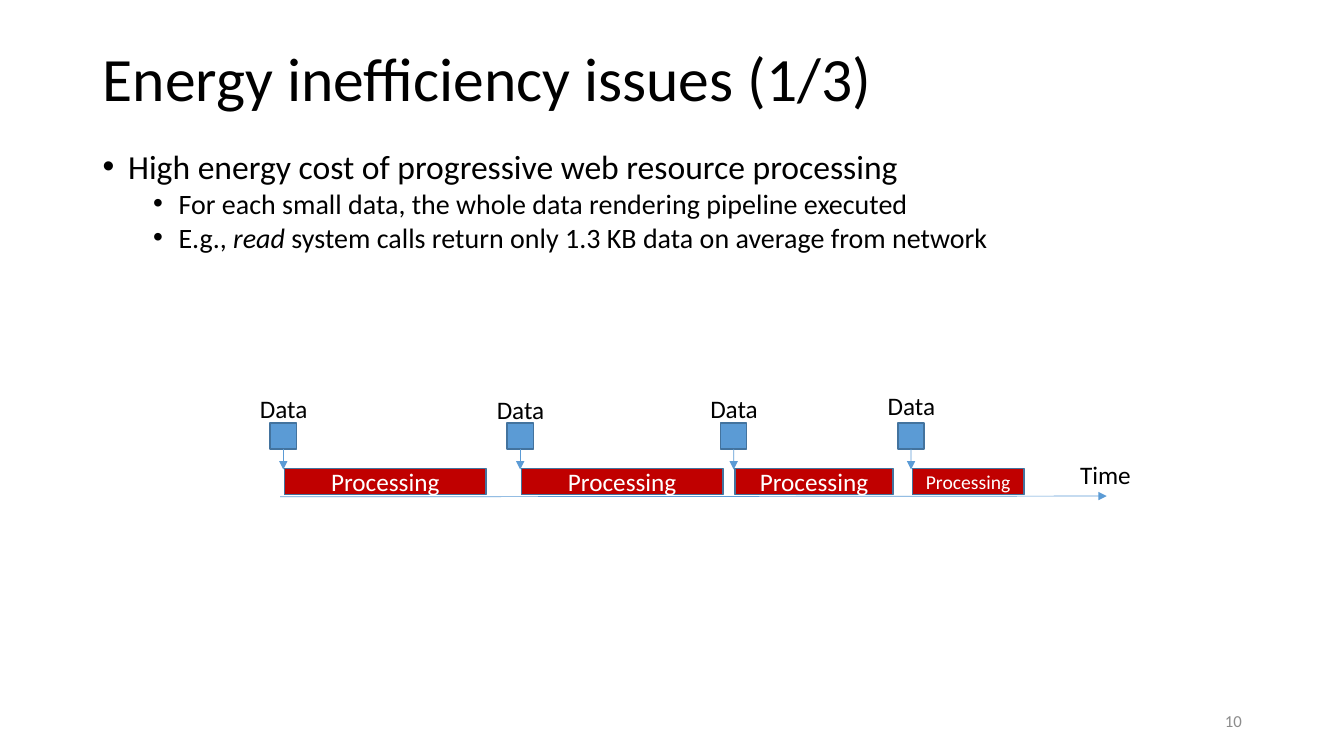
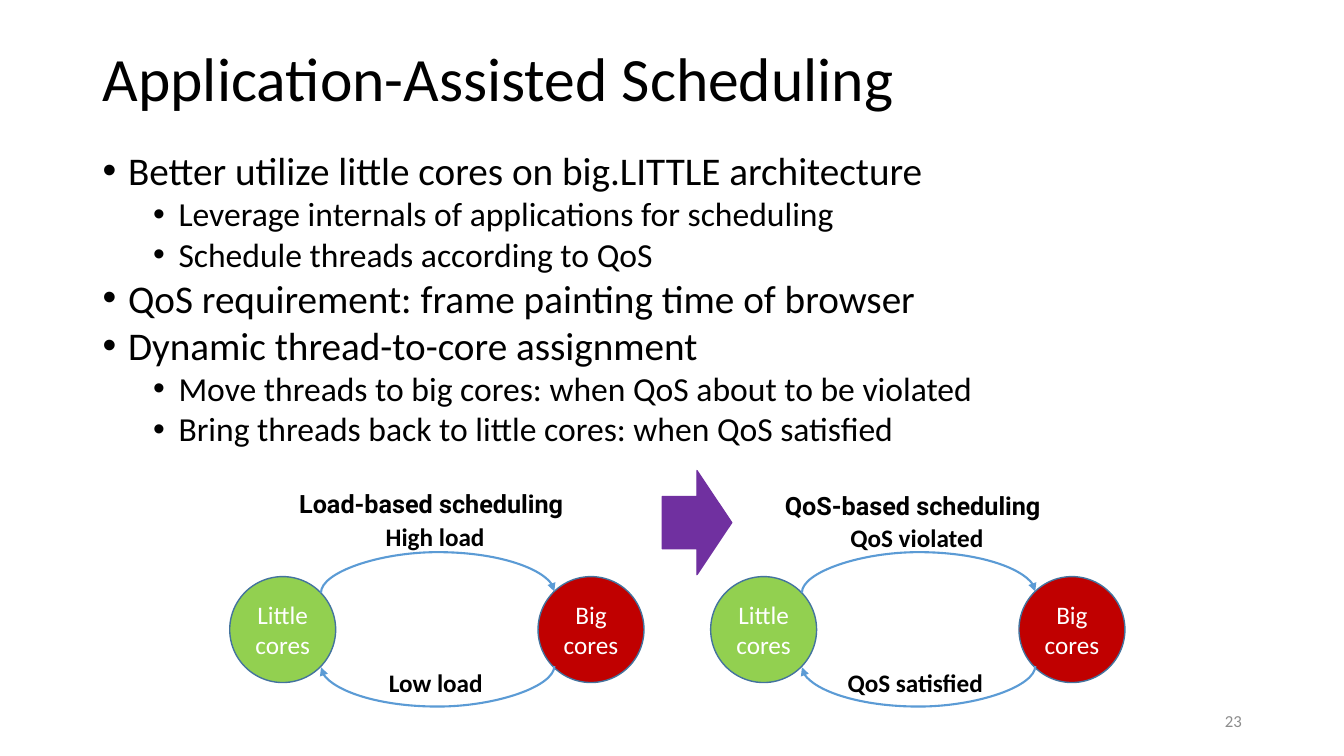
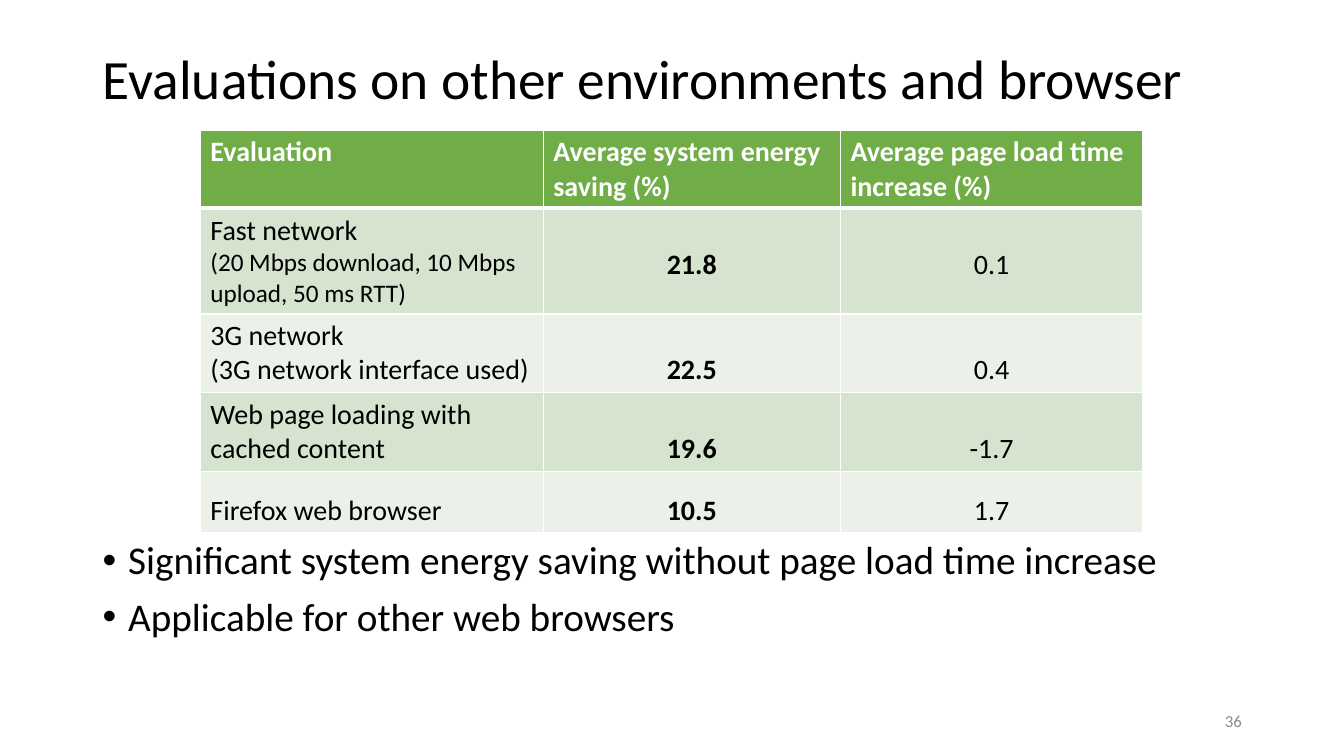
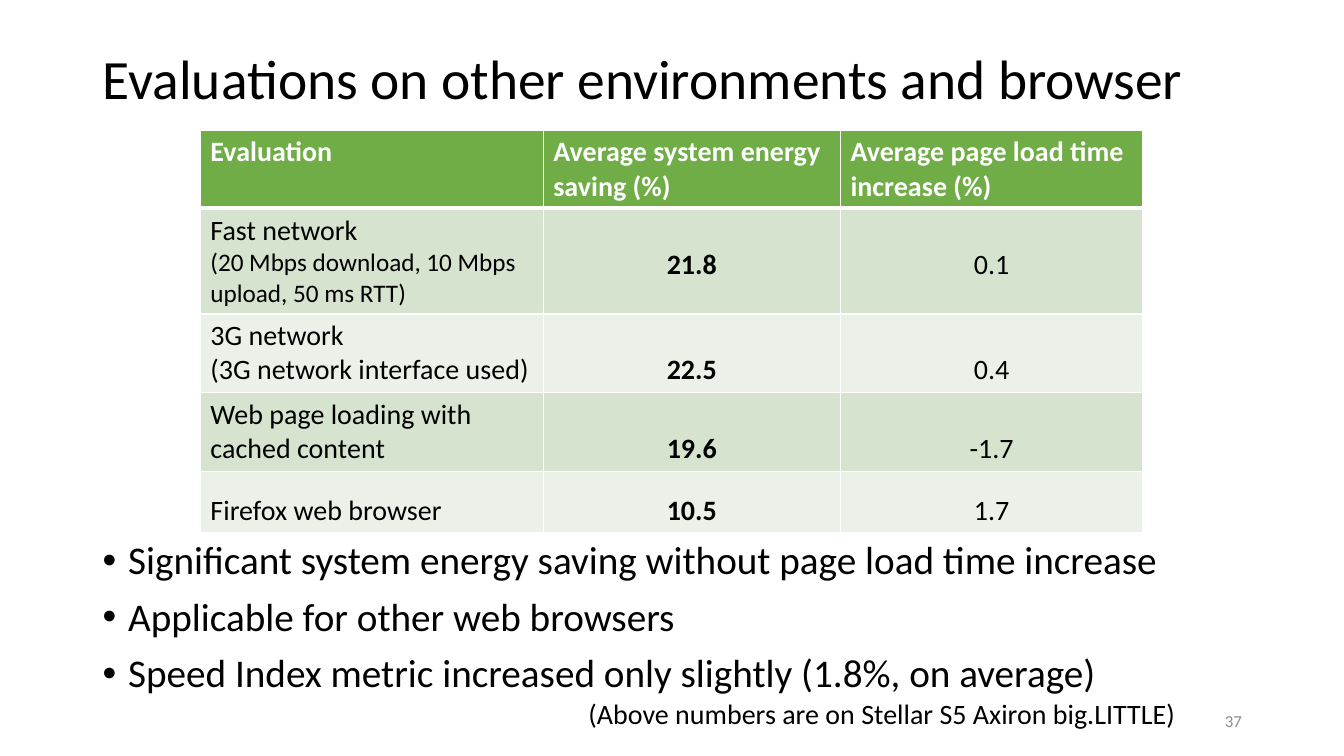
import pptx
import pptx.util
import pptx.dml.color
import pptx.enum.shapes
import pptx.enum.text
import pptx.oxml
import pptx.oxml.ns
from lxml import etree

Cm = pptx.util.Cm
Pt = pptx.util.Pt
MSO = pptx.enum.shapes.MSO_SHAPE
LINK = pptx.enum.shapes.MSO_CONNECTOR
ALIGN = pptx.enum.text.PP_ALIGN
ANCHOR = pptx.enum.text.MSO_ANCHOR
AUTO = pptx.enum.text.MSO_AUTO_SIZE
qn = pptx.oxml.ns.qn

COLORS = {
    "black": "000000",
    "white": "FFFFFF",
    "gray": "8C8C8C",
    "blue": "5B9BD5",
    "outline": "43739E",
    "red": "C00000",
    "lime": "92D050",
    "purple": "7030A0",
    "header": "70AD47",
    "band_dark": "D5E3CF",
    "band_light": "EBF1E9",
}
FONT = "Calibri"
BODY = (2.34, 3.56, 29.21, 13.59)
CONCLUSIONS = (2.34, 13.51, 29.21, 2.57)

COLUMNS = (8.64, 7.49, 7.62)
ROW_HEIGHTS = (1.97, 2.66, 1.99, 1.99, 1.54)
HEADINGS = ("Evaluation", "Average system energy saving (%)",
            "Average page load time increase (%)")
RESULTS = (
    ((("Fast network", 20), ("(20 Mbps download, 10 Mbps upload, 50 ms RTT)", 18)), "21.8", "0.1"),
    ((("3G network", 20), ("(3G network interface used)", 20)), "22.5", "0.4"),
    ((("Web page loading with cached content", 20),), "19.6", "-1.7"),
    ((("Firefox web browser", 20),), "10.5", "1.7"),
)


def rgb(name):
    return pptx.dml.color.RGBColor.from_string(COLORS[name])


def cms(values):
    return [Cm(v) for v in values]


def write(p, text, size, color="black", bold=False, font=FONT, align=None, spacing=None):
    for i, part in enumerate(text.split("*")):
        r = p.add_run()
        r.text = part
        r.font.name = font
        r.font.size = Pt(size)
        r.font.bold = bold
        r.font.italic = i % 2 == 1
        r.font.color.rgb = rgb(color)
    if align is not None:
        p.alignment = align
    if spacing is not None:
        p.line_spacing = spacing


def add_text(s, box, text, size, anchor=ANCHOR.TOP, fit=False, **style):
    tf = s.shapes.add_textbox(*cms(box)).text_frame
    tf.word_wrap = not fit
    if fit:
        tf.auto_size = AUTO.SHAPE_TO_FIT_TEXT
    tf.vertical_anchor = anchor
    write(tf.paragraphs[0], text, size, **style)


def add_bullets(s, box, items, sizes, spacing=None, before=0):
    tf = s.shapes.add_textbox(*cms(box)).text_frame
    tf.word_wrap = True
    for i, (level, text) in enumerate(items):
        p = tf.add_paragraph() if i else tf.paragraphs[0]
        p.level = level
        pPr = p._p.get_or_add_pPr()
        pPr.set("marL", str(Cm(0.64 + 1.27 * level)))
        pPr.set("indent", str(-Cm(0.64)))
        etree.SubElement(pPr, qn("a:buFont")).set("typeface", "Arial")
        etree.SubElement(pPr, qn("a:buChar")).set("char", "•")
        if i and before:
            p.space_before = Pt(before)
        write(p, text, sizes[level], spacing=spacing)


def add_box(s, kind, box, fill, line="outline", text=None, size=18):
    sp = s.shapes.add_shape(kind, *cms(box))
    sp.shadow.inherit = False
    sp.fill.solid()
    sp.fill.fore_color.rgb = rgb(fill)
    sp.line.color.rgb = rgb(line)
    sp.line.width = Pt(1)
    if text:
        tf = sp.text_frame
        tf.vertical_anchor = ANCHOR.MIDDLE
        write(tf.paragraphs[0], text, size, color="white", align=ALIGN.CENTER)
    return sp


def add_arrow(s, ends, width, kind=LINK.STRAIGHT):
    cn = s.shapes.add_connector(kind, *cms(ends))
    cn.line.color.rgb = rgb("blue")
    cn.line.width = Pt(width)
    etree.SubElement(cn.line._get_or_add_ln(), qn("a:tailEnd")).set("type", "triangle")
    etree.SubElement(cn._element.spPr, qn("a:effectLst"))
    return cn


def add_arc(s, x, y, span, upward):
    rise, bulge = 0.03, 1.02
    mid = x + span / 2
    ends = (mid - rise / 2, y - span / 2, mid + rise / 2, y + span / 2)
    spPr = add_arrow(s, ends, 1.5, LINK.CURVE)._element.spPr
    xfrm = spPr.find(qn("a:xfrm"))
    xfrm.set("rot", "5400000")
    if upward:
        xfrm.set("flipH", "1")
        xfrm.set("flipV", "1")
    gd = etree.SubElement(spPr.find(qn("a:prstGeom")).find(qn("a:avLst")), qn("a:gd"))
    gd.set("name", "adj1")
    gd.set("fmla", f"val {round(bulge / rise * 100000)}")


def style_cell(cell, fill, top, bottom):
    tcPr = cell._tc.get_or_add_tcPr()
    for i, (side, width) in enumerate((("L", 1), ("R", 1), ("T", top), ("B", bottom))):
        ln = etree.Element(qn(f"a:ln{side}"), w=str(Pt(width)))
        color = etree.SubElement(etree.SubElement(ln, qn("a:solidFill")), qn("a:srgbClr"))
        color.set("val", COLORS["white"])
        tcPr.insert(i, ln)
    cell.fill.solid()
    cell.fill.fore_color.rgb = rgb(fill)


def add_results_table(s):
    box = (5.05, 3.28, sum(COLUMNS), sum(ROW_HEIGHTS))
    table = s.shapes.add_table(len(ROW_HEIGHTS), len(COLUMNS), *cms(box)).table
    for column, width in zip(table.columns, COLUMNS):
        column.width = Cm(width)
    for row, height in zip(table.rows, ROW_HEIGHTS):
        row.height = Cm(height)
    for c, heading in enumerate(HEADINGS):
        cell = table.cell(0, c)
        style_cell(cell, "header", 1, 3)
        write(cell.text_frame.paragraphs[0], heading, 20, color="white", bold=True)
    for i, (name, saving, increase) in enumerate(RESULTS, 1):
        last = i == len(RESULTS)
        for c in range(len(COLUMNS)):
            style_cell(table.cell(i, c), "band_dark" if i % 2 else "band_light",
                       3 if i == 1 else 1, 1)
        tf = table.cell(i, 0).text_frame
        for j, (text, size) in enumerate(name):
            p = tf.add_paragraph() if j else tf.paragraphs[0]
            write(p, text, size, spacing=1.5 if last else None)
        for c, value in enumerate((saving, increase), 1):
            write(table.cell(i, c).text_frame.paragraphs[0], value, 20, bold=c == 1,
                  align=ALIGN.CENTER, spacing=1.5 if last else 2.0)


def new_slide(prs, title, number, size=44):
    s = prs.slides.add_slide(prs.slide_layouts[6])
    add_text(s, (2.34, 0.84, 29.21, 2.44), title, size, ANCHOR.MIDDLE, spacing=0.9)
    add_text(s, (23.93, 17.65, 7.62, 1.02), number, 12, ANCHOR.MIDDLE,
             color="gray", align=ALIGN.RIGHT)
    return s


def add_data_event(s, x, label_top, width, size):
    side, top, bar_top = 0.66, 10.66, 11.81
    add_text(s, (x - 0.51, label_top, 1.73, 1.02), "Data", 18, fit=True)
    square = add_box(s, MSO.RECTANGLE, (x, top, side, side), "blue")
    add_box(s, MSO.RECTANGLE, (x + 0.36, bar_top, width, side), "red",
            text="Processing", size=size)
    mid = x + side / 2
    add_arrow(s, (mid, top + side, mid, bar_top + 0.02), 0.5).begin_connect(square, 2)


def add_core_cycle(s, x, heading, upper, lower):
    d, y = 2.67, 14.53
    add_box(s, MSO.OVAL, (x, y, d, d), "lime", text="Little cores")
    add_box(s, MSO.OVAL, (x + 7.77, y, d, d), "red", text="Big cores")
    add_arc(s, x + 2.3, y + 0.39, 5.88, True)
    add_arc(s, x + 2.3, y + 2.27, 5.88, False)
    for (text, box), font in zip((heading, upper, lower), ("Roboto", FONT, FONT)):
        add_text(s, box, text, 18, fit=True, bold=True, font=font)


def inefficiency_slide(prs):
    s = new_slide(prs, "Energy inefficiency issues (1/3)", "10")
    add_bullets(s, BODY, (
        (0, "High energy cost of progressive web resource processing"),
        (1, "For each small data, the whole data rendering pipeline executed"),
        (1, "E.g., *read* system calls return only 1.3 KB data on average from network"),
    ), (24, 20))
    add_arrow(s, (7.06, 12.52, 27.89, 12.5), 0.5)
    add_text(s, (26.97, 11.46, 1.8, 1.02), "Time", 18, fit=True)
    for event in ((6.81, 9.78, 5.08, 18), (12.78, 9.8, 5.08, 18),
                  (18.16, 9.78, 3.99, 18), (22.63, 9.7, 2.82, 14)):
        add_data_event(s, *event)


def scheduling_slide(prs):
    s = new_slide(prs, "Application-Assisted Scheduling", "23")
    add_bullets(s, BODY, (
        (0, "Better utilize little cores on big.LITTLE architecture"),
        (1, "Leverage internals of applications for scheduling"),
        (1, "Schedule threads according to QoS"),
        (0, "QoS requirement: frame painting time of browser"),
        (0, "Dynamic thread-to-core assignment"),
        (1, "Move threads to big cores: when QoS about to be violated"),
        (1, "Bring threads back to little cores: when QoS satisfied"),
    ), (28, 24))
    add_core_cycle(s, 5.79,
                   ("Load-based scheduling", (7.29, 12.17, 7.67, 1.02)),
                   ("High load", (9.47, 13.0, 3.02, 1.02)),
                   ("Low load", (9.55, 16.69, 2.9, 1.02)))
    add_core_cycle(s, 17.91,
                   ("QoS-based scheduling", (19.53, 12.24, 7.47, 1.02)),
                   ("QoS violated", (21.18, 13.03, 3.89, 1.02)),
                   ("QoS satisfied", (21.11, 16.69, 3.96, 1.02)))
    add_box(s, MSO.RIGHT_ARROW, (16.69, 11.86, 1.75, 2.62), "purple", line="purple")


def evaluation_slide(prs, number, conclusions):
    s = new_slide(prs, "Evaluations on other environments and browser", number, 39.6)
    add_results_table(s)
    add_bullets(s, CONCLUSIONS, [(0, text) for text in conclusions], (28,),
                spacing=0.9, before=10)
    return s


def main():
    prs = pptx.Presentation()
    prs.slide_width, prs.slide_height = Cm(33.87), Cm(19.05)
    inefficiency_slide(prs)
    scheduling_slide(prs)
    conclusions = ["Significant system energy saving without page load time increase",
                   "Applicable for other web browsers"]
    evaluation_slide(prs, "36", conclusions)
    conclusions.append("Speed Index metric increased only slightly (1.8%, on average)")
    s = evaluation_slide(prs, "37", conclusions)
    add_text(s, (14.58, 17.42, 15.7, 1.12),
             "(Above numbers are on Stellar S5 Axiron big.LITTLE)", 20)
    prs.save("out.pptx")


if __name__ == "__main__":
    main()
